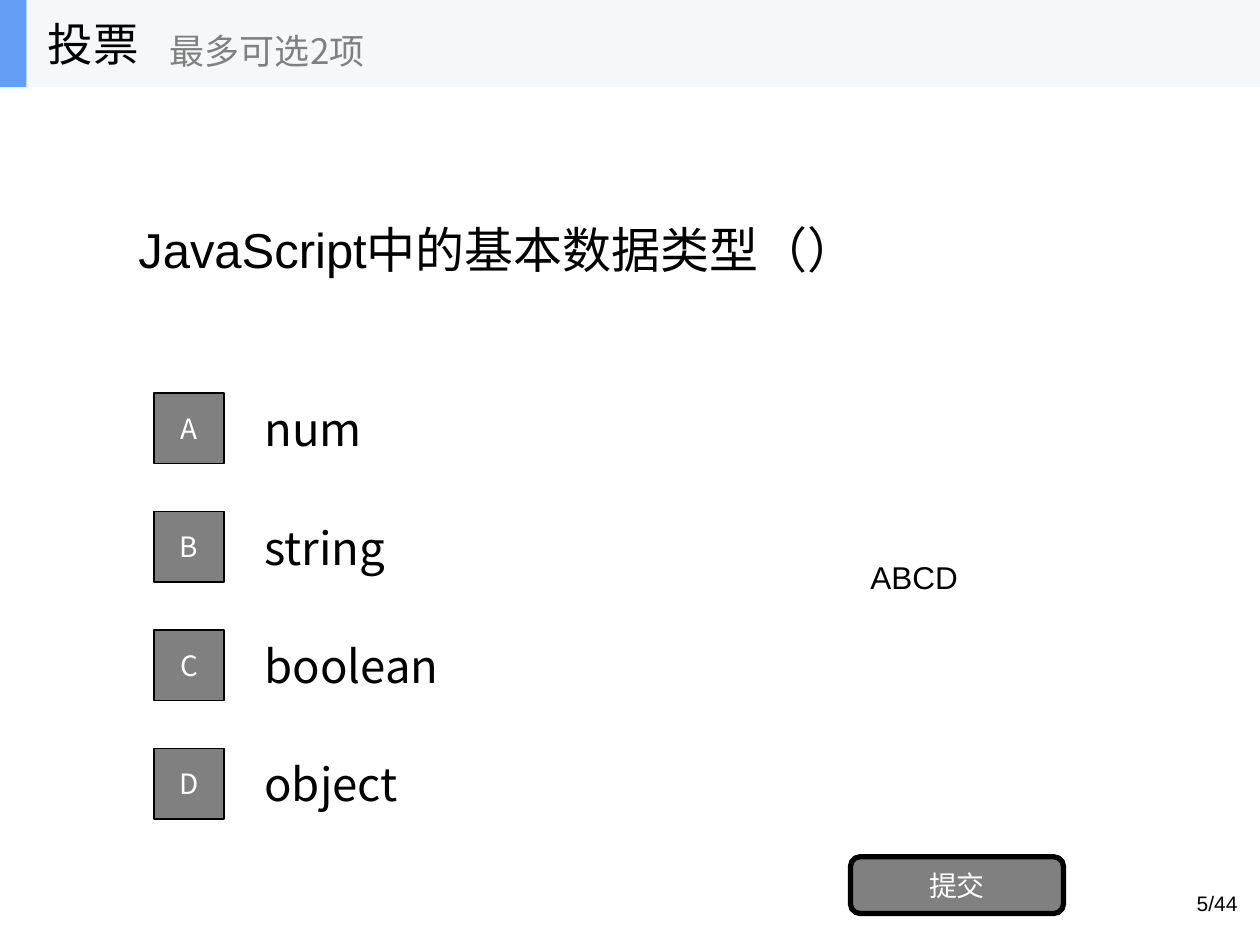
import pptx
import pptx.util
import pptx.dml.color
import pptx.enum.shapes
import pptx.enum.text
import pptx.oxml.ns
import lxml.etree

RGB = pptx.dml.color.RGBColor
BLACK = RGB(0x00, 0x00, 0x00)
WHITE = RGB(0xFF, 0xFF, 0xFF)
GRAY = RGB(0x80, 0x80, 0x80)
PALE = RGB(0xF6, 0xF7, 0xF8)
BLUE = RGB(0x63, 0x9E, 0xF4)
SANS, CJK = "Arial", "Noto Sans CJK SC"
SHAPE = pptx.enum.shapes.MSO_SHAPE
ALIGN = pptx.enum.text.PP_ALIGN
ANCHOR = pptx.enum.text.MSO_ANCHOR
WIDTH, HEIGHT = 10, 7.5


class PollSlide:
    """Holds the style and the current slide of a poll."""

    def __init__(self, prs):
        self.slide = prs.slides.add_slide(prs.slide_layouts[6])
        self.size = prs.slide_width, prs.slide_height

    def box(self, x, y, w, h):
        sw, sh = self.size
        return [int(v * s) for v, s in ((x / WIDTH, sw), (y / HEIGHT, sh),
                                        (w / WIDTH, sw), (h / HEIGHT, sh))]

    def label(self, sp, text, size, font=CJK, color=BLACK, align=ALIGN.LEFT,
              anchor=ANCHOR.MIDDLE, spacing=None):
        tf = sp.text_frame
        p = tf.paragraphs[0]
        r = p.add_run()
        r.text = text
        formats = {
            tf: {"word_wrap": True, "vertical_anchor": anchor},
            p: {"alignment": align, "line_spacing": spacing},
            r.font: {"size": pptx.util.Pt(size), "name": font},
        }
        for target, values in formats.items():
            for name, value in values.items():
                setattr(target, name, value)
        r.font.color.rgb = color
        ea = lxml.etree.SubElement(r.font._element, pptx.oxml.ns.qn("a:ea"))
        ea.set("typeface", CJK)

    def text(self, place, text, size, **style):
        sp = self.slide.shapes.add_textbox(*self.box(*place))
        self.label(sp, text, size, **style)

    def shape(self, place, fill, kind=SHAPE.RECTANGLE, line=None):
        sp = self.slide.shapes.add_shape(kind, *self.box(*place))
        sp.shadow.inherit = False
        sp.fill.solid()
        sp.fill.fore_color.rgb = fill
        if line:
            sp.line.color.rgb = BLACK
            sp.line.width = pptx.util.Pt(line)
        else:
            sp.line.fill.background()
        return sp

    def button(self, place, text, **style):
        sp = self.shape(place, GRAY, **style)
        self.label(sp, text, 16, color=WHITE, align=ALIGN.CENTER)

    def header(self, title, hint, height=0.69):
        self.shape((0, 0, WIDTH, height), PALE)
        self.shape((0, 0, 0.21, height), BLUE)
        self.text((0.28, 0, 2.08, height), title, 26)
        self.text((1.25, 0.12, 2.5, 0.56), hint, 20, color=GRAY)

    def options(self, names, top=3.05, pitch=0.94, height=0.7, side=0.56):
        for i, name in enumerate(names):
            y = top + i * pitch
            self.text((2, y, 7, height), name, 26)
            self.button((1.22, y + (height - side) / 2, side, side),
                        "ABCD"[i], line=1)


prs = pptx.Presentation()
prs.slide_width = pptx.util.Inches(WIDTH)
prs.slide_height = pptx.util.Inches(HEIGHT)

poll = PollSlide(prs)
poll.text((7.59, 7.02, 2.33, 0.4), "5/44", 12, font=SANS,
          align=ALIGN.RIGHT, anchor=ANCHOR.TOP)
poll.text((1, 0.69, 8, 2.34), "JavaScript中的基本数据类型（）", 28,
          font=SANS, spacing=1.5)
poll.options(["num", "string", "boolean", "object"])
poll.button((6.75, 6.8, 1.69, 0.45), "提交",
            kind=SHAPE.ROUNDED_RECTANGLE, line=3)
poll.text((6.81, 4.38, 1.32, 0.4), "ABCD", 18, font=SANS, anchor=ANCHOR.TOP)
poll.header("投票", "最多可选2项")

prs.save("out.pptx")
